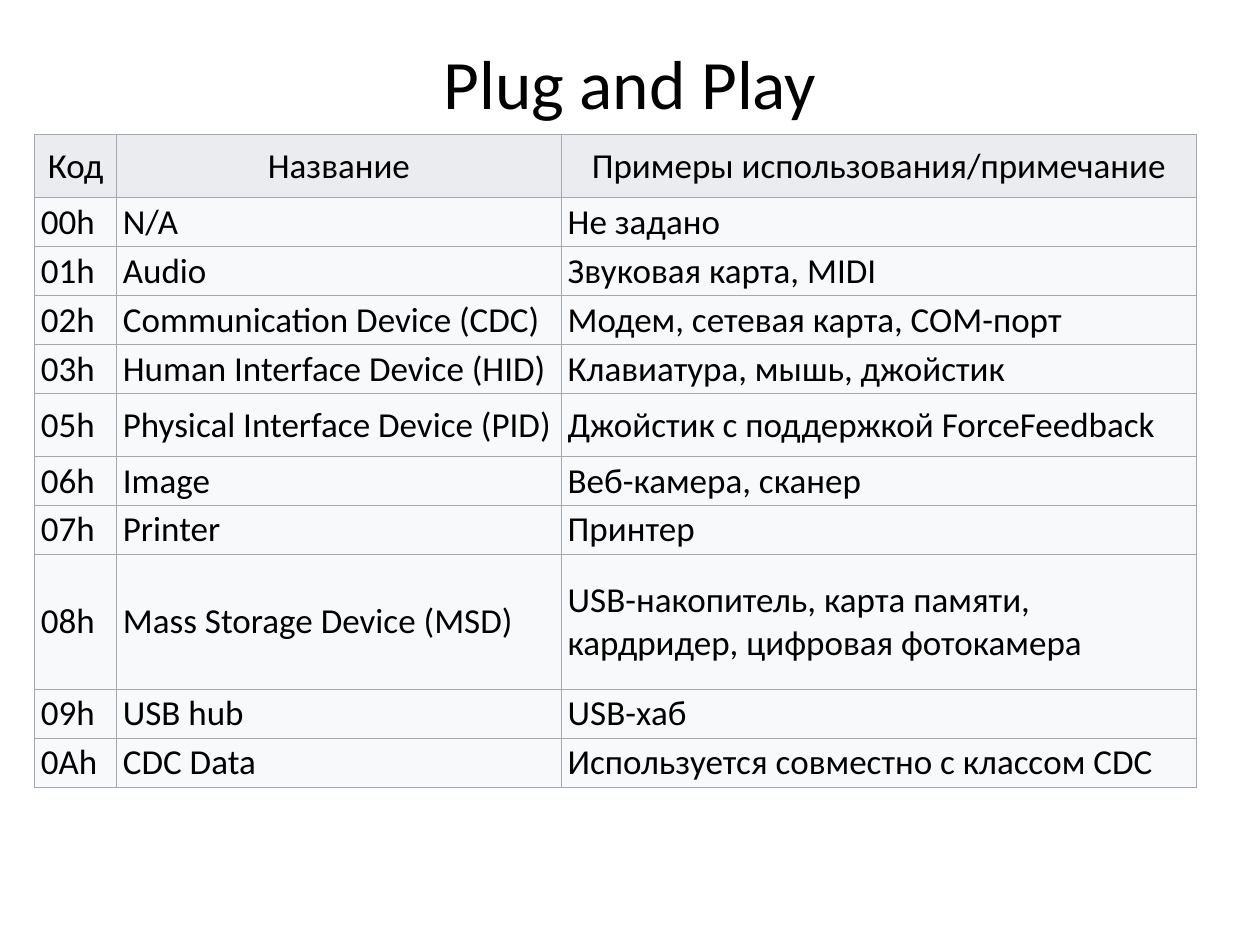
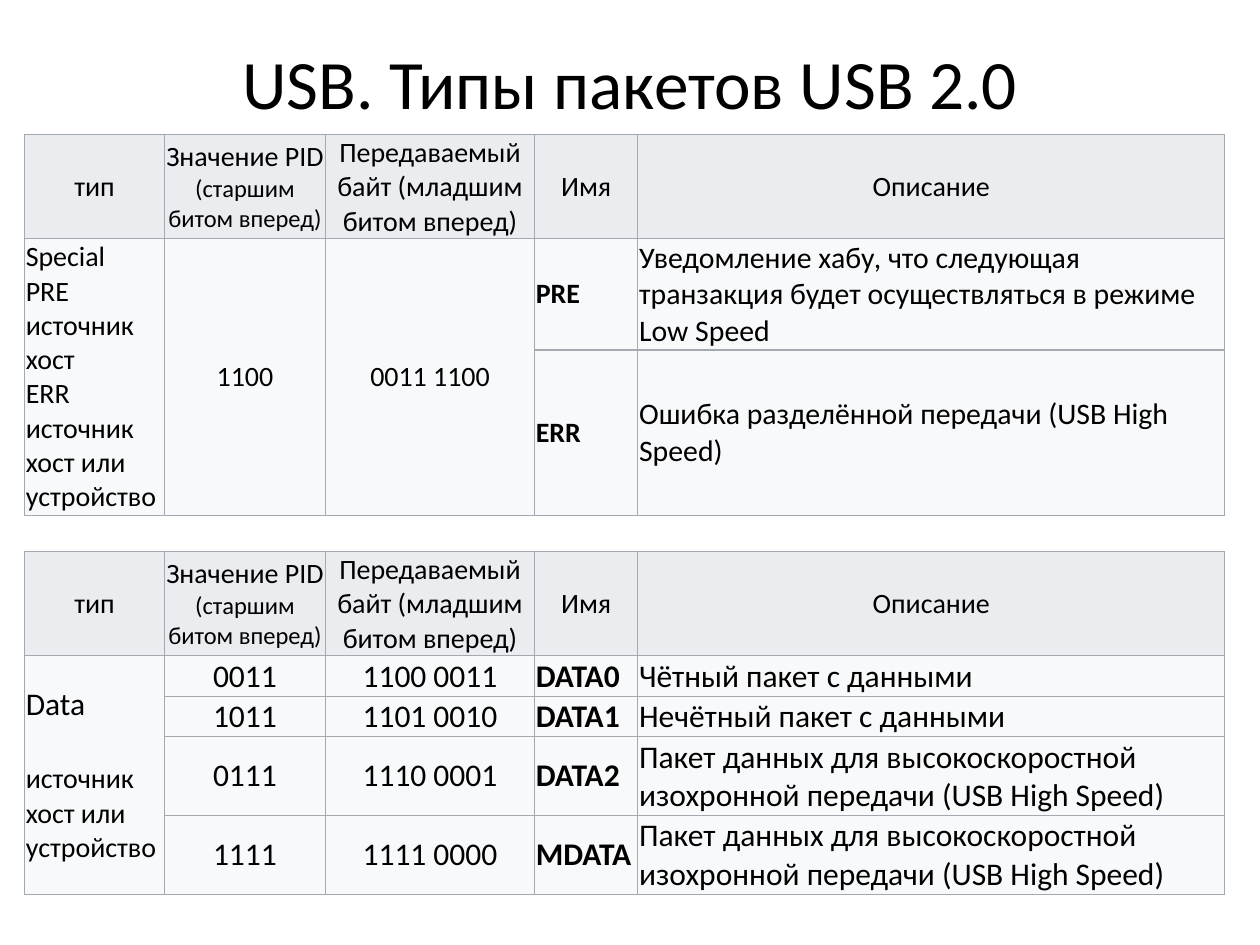
"""Build two slides on USB device classes and USB 2.0 packet types."""
from lxml.etree import SubElement
from pptx import Presentation
from pptx.dml.color import RGBColor
from pptx.enum.text import MSO_ANCHOR as Anchor, PP_ALIGN as Align
from pptx.oxml.ns import qn
from pptx.util import Pt

BLACK = RGBColor(0x00, 0x00, 0x00)
BORDER = RGBColor(0xA2, 0xA9, 0xB1)
HEADER_FILL = RGBColor(0xEA, 0xEC, 0xF0)
BODY_FILL = RGBColor(0xF8, 0xF9, 0xFA)
FONT = "Calibri"

TITLE_BOX = (49.7, 28.8, 620.6, 36)
TABLE_TOP = 77

CLASS_WIDTHS = (46.8, 254.2, 362.9)
CLASS_ROW, CLASS_TALL_ROW, CLASS_WRAPPED_ROW = 28, 36, 77
CLASS_HEADER = ("Код", "Название", "Примеры использования/примечание")
DEVICE_CLASSES = (
    ("00h", "N/A", "Не задано"),
    ("01h", "Audio", "Звуковая карта, MIDI"),
    ("02h", "Communication Device (CDC)", "Модем, сетевая карта, COM-порт"),
    ("03h", "Human Interface Device (HID)", "Клавиатура, мышь, джойстик"),
    ("05h", "Physical Interface Device (PID)", "Джойстик с поддержкой ForceFeedback"),
    ("06h", "Image", "Веб-камера, сканер"),
    ("07h", "Printer", "Принтер"),
    ("08h", "Mass Storage Device (MSD)",
     "USB-накопитель, карта памяти, кардридер, цифровая фотокамера"),
    ("09h", "USB hub", "USB-хаб"),
    ("0Ah", "CDC Data", "Используется совместно с классом CDC"),
)

PACKET_WIDTHS = (80, 92, 119.5, 59, 335.5)
PACKET_HEADER_HEIGHT = 59.5
PACKET_HEADER = ("тип", "Значение PID ", "Передаваемый байт (младшим битом вперед)",
                 "Имя", "Описание")
PID_NOTE = "(старшим битом вперед)"
PACKET_ALIGNS = (Align.LEFT, Align.CENTER, Align.CENTER, Align.LEFT, Align.LEFT)
NAME_COLUMN = 3
ISOCHRONOUS = "Пакет данных для высокоскоростной изохронной передачи (USB High Speed)"
SPECIAL_PACKETS = (
    ("Special\nPRE\nисточник хост\nERR\nисточник хост или устройство",
     "1100", "0011 1100", "PRE",
     "Уведомление хабу, что следующая транзакция будет осуществляться в режиме Low Speed"),
    ("", "", "", "ERR", "Ошибка разделённой передачи (USB High Speed)"),
)
DATA_PACKETS = (
    ("Data\nисточник хост или устройство", "0011", "1100 0011", "DATA0",
     "Чётный пакет с данными"),
    ("", "1011", "1101 0010", "DATA1", "Нечётный пакет с данными"),
    ("", "0111", "1110 0001", "DATA2", ISOCHRONOUS),
    ("", "1111", "1111 0000", "MDATA", ISOCHRONOUS),
)


def style_paragraph(paragraph, size, align, bold=False):
    """Set the shared font and the given size, alignment and weight."""
    paragraph.alignment = align
    font = paragraph.font
    font.name, font.size, font.bold = FONT, Pt(size), bold
    font.color.rgb = BLACK


def add_title(slide, text, box):
    """Place the centred slide title in its box."""
    title = slide.shapes.add_textbox(*map(Pt, box)).text_frame
    title.word_wrap = True
    title.vertical_anchor = Anchor.MIDDLE
    title.text = text
    style_paragraph(title.paragraphs[0], 39.6, Align.CENTER)


def add_borders(cell):
    """Draw a thin line on the four sides of a cell."""
    properties = cell._tc.get_or_add_tcPr()
    for side in ("a:lnL", "a:lnR", "a:lnT", "a:lnB"):
        line = SubElement(properties, qn(side), w=str(Pt(0.75)))
        fill = SubElement(line, qn("a:solidFill"))
        SubElement(fill, qn("a:srgbClr"), val=str(BORDER))


def write_cell(cell, text, fill, inset, size, align, bold=False):
    """Give a cell its borders, fill, insets and text."""
    add_borders(cell)
    cell.fill.solid()
    cell.fill.fore_color.rgb = fill
    cell.vertical_anchor = Anchor.MIDDLE
    cell.margin_left = cell.margin_right = Pt(inset[0])
    cell.margin_top = cell.margin_bottom = Pt(inset[1])
    cell.text = text
    for paragraph in cell.text_frame.paragraphs:
        style_paragraph(paragraph, size, align, bold)


def add_grid(slide, left, top, widths, heights):
    """Add an unbanded table with the given column widths and row heights."""
    table = slide.shapes.add_table(
        len(heights), len(widths), Pt(left), Pt(top), Pt(sum(widths)), Pt(sum(heights))).table
    table.first_row = table.horz_banding = False
    for column, width in zip(table.columns, widths):
        column.width = Pt(width)
    for row, height in zip(table.rows, heights):
        row.height = Pt(height)
    return table


def add_class_table(slide, left, top):
    """Place the table of USB device classes."""
    special_heights = {"05h": CLASS_TALL_ROW, "08h": CLASS_WRAPPED_ROW}
    heights = [CLASS_TALL_ROW] + [
        special_heights.get(code, CLASS_ROW) for code, *_ in DEVICE_CLASSES]
    table = add_grid(slide, left, top, CLASS_WIDTHS, heights)
    for r, texts in enumerate((CLASS_HEADER, *DEVICE_CLASSES)):
        fill, align = (BODY_FILL, Align.LEFT) if r else (HEADER_FILL, Align.CENTER)
        for c, text in enumerate(texts):
            write_cell(table.cell(r, c), text, fill, (3.6, 1.75), 20, align)


def add_packet_table(slide, left, top, packets, heights, sizes, merged_columns):
    """Place one table of packet types, merging the given columns below the header."""
    table = add_grid(slide, left, top, PACKET_WIDTHS, (PACKET_HEADER_HEIGHT, *heights))
    inset = (0.75, 0.75)
    for c, text in enumerate(PACKET_HEADER):
        write_cell(table.cell(0, c), text, HEADER_FILL, inset, 16, Align.CENTER)
    note = table.cell(0, 1).text_frame.paragraphs[0].add_run()
    note.text = PID_NOTE
    note.font.size = Pt(14)
    for r, texts in enumerate(packets, 1):
        for c, text in enumerate(texts):
            write_cell(table.cell(r, c), text, BODY_FILL, inset, sizes[c],
                       PACKET_ALIGNS[c], c == NAME_COLUMN)
    for c in merged_columns:
        table.cell(1, c).merge(table.cell(len(packets), c))
    return table


def build_class_slide(slide):
    """Build the slide of device classes."""
    add_title(slide, "Plug and Play", TITLE_BOX)
    add_class_table(slide, 19.8, TABLE_TOP)


def build_packet_slide(slide):
    """Build the slide of packet types."""
    add_title(slide, "USB. Типы пакетов USB 2.0", TITLE_BOX)
    add_packet_table(slide, 14, TABLE_TOP, SPECIAL_PACKETS, (63.5, 94.5),
                     (16, 16, 16, 16, 17), (0, 1, 2))
    data_table = add_packet_table(slide, 14, 315.3, DATA_PACKETS, (23, 23, 45, 45),
                                  (16, 18, 18, 18, 18), (0,))
    data_type, data_source = data_table.cell(1, 0).text_frame.paragraphs
    data_type.font.size = Pt(18)
    data_source.space_before = Pt(22)


def main():
    """Build and save the presentation."""
    presentation = Presentation()
    presentation.slide_width, presentation.slide_height = Pt(720), Pt(540)
    blank = presentation.slide_layouts[6]
    for build in (build_class_slide, build_packet_slide):
        build(presentation.slides.add_slide(blank))
    presentation.save("out.pptx")


if __name__ == "__main__":
    main()
